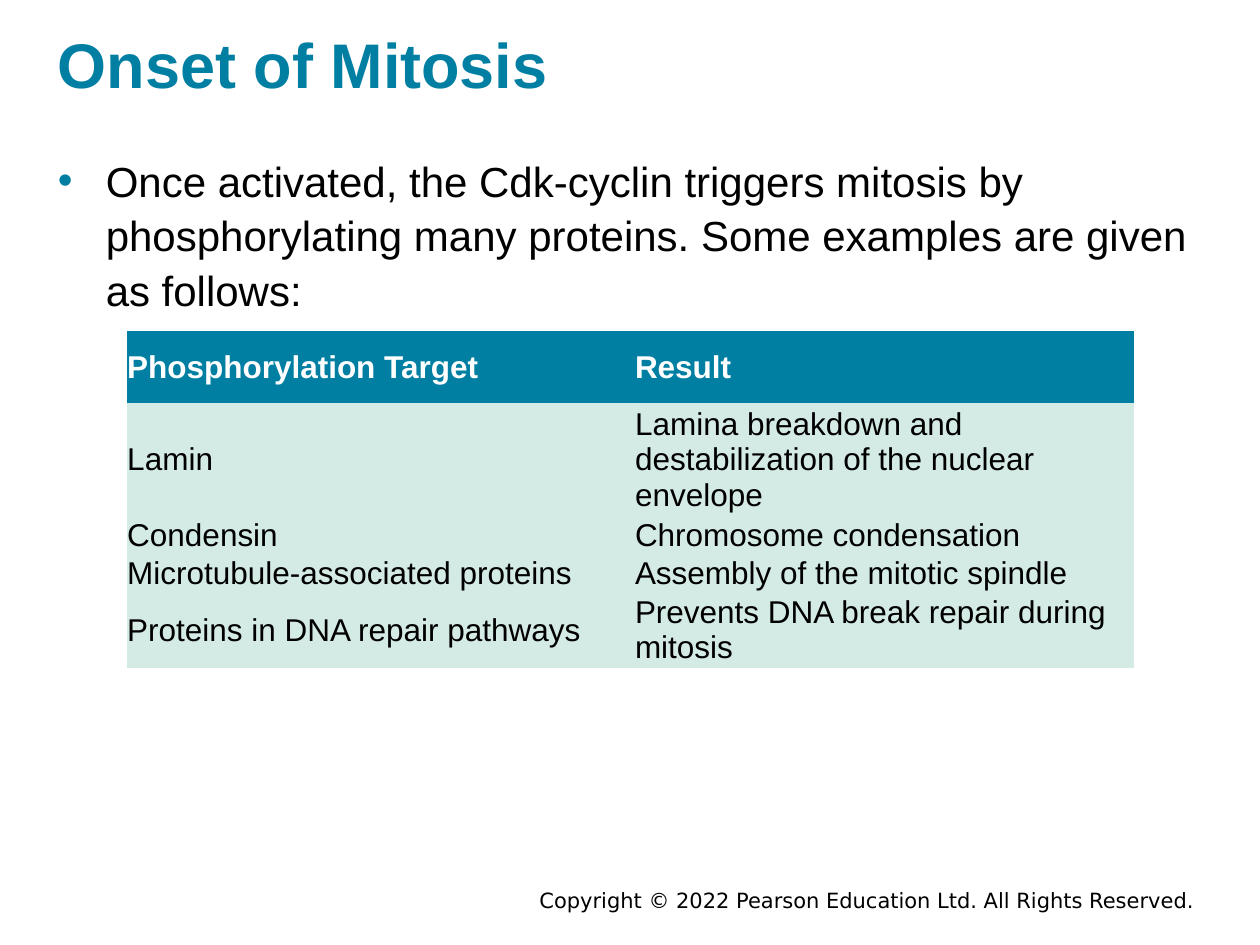
from lxml import etree
from pptx import Presentation, util as u
from pptx.dml.color import RGBColor
from pptx.enum import text
from pptx.oxml import ns

TEAL = RGBColor(0x00, 0x7F, 0xA3)
MINT = RGBColor(0xD4, 0xEA, 0xE4)
BLACK = RGBColor(0, 0, 0)
WHITE = RGBColor(0xFF, 0xFF, 0xFF)

COLUMN_WIDTHS = (4.03, 3.96)
HEADER_HEIGHT = 0.57
ROW_HEIGHT = 0.24
TARGETS = (
    ("Phosphorylation Target", "Result"),
    ("Lamin", "Lamina breakdown and destabilization of the nuclear envelope"),
    ("Condensin", "Chromosome condensation"),
    ("Microtubule-associated proteins", "Assembly of the mitotic spindle"),
    ("Proteins in DNA repair pathways", "Prevents DNA break repair during mitosis"),
)


class MitosisSlide:
    def __init__(self, page, face="Arial"):
        self.page = page
        self.face = face

    def style(self, para, size, color, bold=False, face=None):
        para.font.name = face or self.face
        para.font.size = u.Pt(size)
        para.font.bold = bold
        para.font.color.rgb = color

    def text_box(self, left, top, width, height, words, anchor):
        """Add a wrapped box without margins and return its paragraph."""
        box = self.page.shapes.add_textbox(*map(u.Inches, (left, top, width, height)))
        frame = box.text_frame
        frame.word_wrap = True
        frame.vertical_anchor = anchor
        frame.margin_left = frame.margin_right = 0
        frame.margin_top = frame.margin_bottom = 0
        para = frame.paragraphs[0]
        para.text = words
        return para

    def title(self, words):
        para = self.text_box(0.46, 0.1, 9.04, 0.81, words, text.MSO_ANCHOR.MIDDLE)
        self.style(para, 36, TEAL, bold=True)

    def bullet(self, words):
        para = self.text_box(0.46, 1.2, 9.04, 1.27, words, text.MSO_ANCHOR.TOP)
        para.line_spacing = 1.08
        props = para._p.get_or_add_pPr()
        indent = u.Inches(0.38)
        props.set("marL", str(indent))
        props.set("indent", str(-indent))
        color = etree.SubElement(props, ns.qn("a:buClr"))
        etree.SubElement(color, ns.qn("a:srgbClr"), val=str(TEAL))
        etree.SubElement(props, ns.qn("a:buFont"), typeface=self.face)
        etree.SubElement(props, ns.qn("a:buChar"), char="•")
        self.style(para, 24, BLACK)

    def table(self, left, top, rows):
        height = HEADER_HEIGHT + ROW_HEIGHT * (len(rows) - 1)
        size = (left, top, sum(COLUMN_WIDTHS), height)
        grid = self.page.shapes.add_table(
            len(rows), len(COLUMN_WIDTHS), *map(u.Inches, size)).table
        for column, width in zip(grid.columns, COLUMN_WIDTHS):
            column.width = u.Inches(width)
        for index, (row, entries) in enumerate(zip(grid.rows, rows)):
            header = index == 0
            row.height = u.Inches(HEADER_HEIGHT if header else ROW_HEIGHT)
            for cell, words in zip(row.cells, entries):
                self.cell(cell, words, header)

    def cell(self, cell, words, header):
        cell.margin_left = cell.margin_right = 0
        cell.margin_top = cell.margin_bottom = 0
        cell.vertical_anchor = text.MSO_ANCHOR.MIDDLE
        cell.fill.solid()
        cell.fill.fore_color.rgb = TEAL if header else MINT
        cell.text = words
        para = cell.text_frame.paragraphs[0]
        self.style(para, 18, WHITE if header else BLACK, bold=header)
        # Plain edges keep the table style from drawing its white grid.
        props = cell._tc.get_or_add_tcPr()
        for position, edge in enumerate(("lnL", "lnR", "lnT", "lnB")):
            line = etree.Element(ns.qn(f"a:{edge}"), w="0")
            etree.SubElement(line, ns.qn("a:noFill"))
            props.insert(position, line)

    def copyright(self, words):
        para = self.text_box(1.85, 7.03, 7.63, 0.22, words, text.MSO_ANCHOR.MIDDLE)
        para.alignment = text.PP_ALIGN.RIGHT
        self.style(para, 12, BLACK, face="DejaVu Sans")


def main():
    deck = Presentation()
    deck.slide_width = u.Inches(10)
    deck.slide_height = u.Inches(7.5)
    slide = MitosisSlide(deck.slides.add_slide(deck.slide_layouts[6]))
    slide.copyright("Copyright © 2022 Pearson Education Ltd. All Rights Reserved.")
    slide.title("Onset of Mitosis")
    slide.bullet("Once activated, the Cdk-cyclin triggers mitosis by phosphorylating "
                 "many proteins. Some examples are given as follows:")
    slide.table(1.01, 2.63, TARGETS)
    deck.save("out.pptx")


if __name__ == "__main__":
    main()
